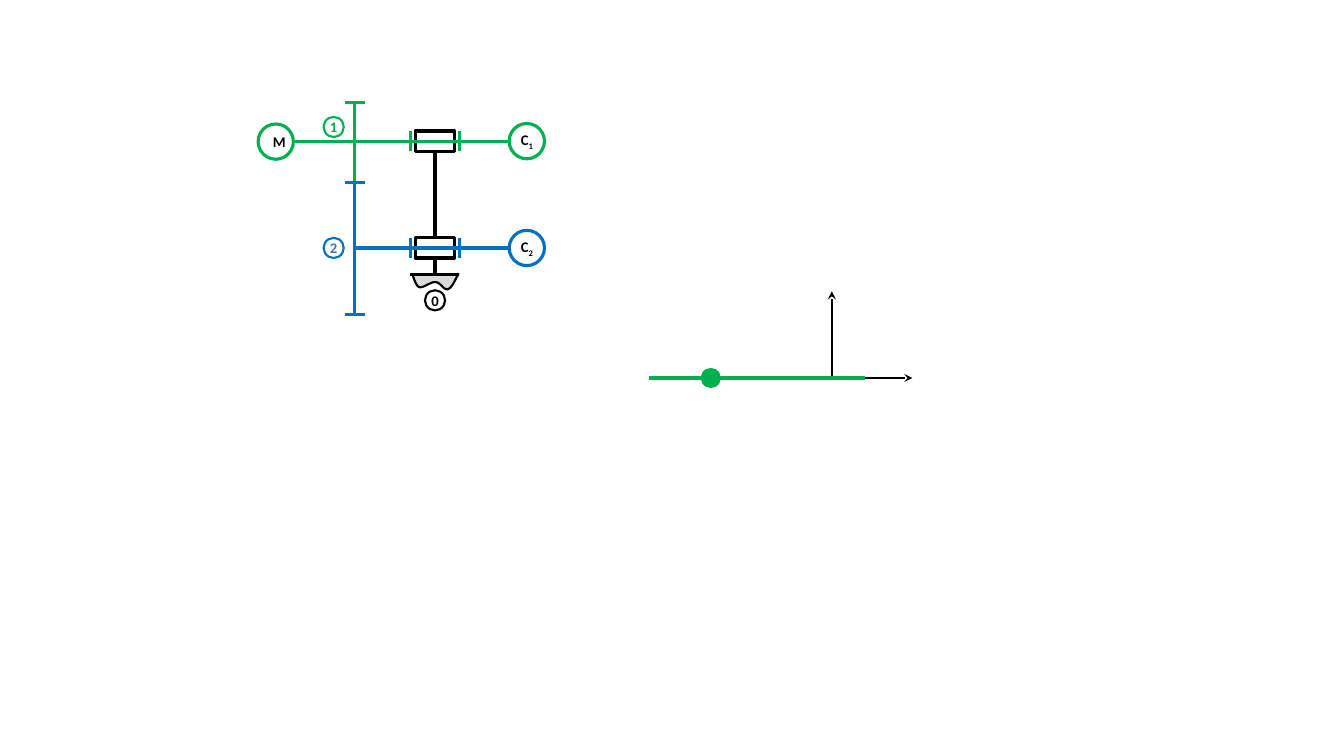
"""Builds a slide with a two-stage gear train and a pair of axes."""
from dataclasses import dataclass

from lxml.etree import SubElement
from pptx import Presentation
from pptx.dml.color import RGBColor
from pptx.enum.shapes import MSO_CONNECTOR, MSO_SHAPE
from pptx.enum.text import MSO_ANCHOR, PP_ALIGN
from pptx.oxml.ns import qn
from pptx.util import Inches, Pt


@dataclass(frozen=True)
class Theme:
    """Colours, type and line widths of the slide."""
    black: str = "000000"
    white: str = "FFFFFF"
    grey: str = "D9D9D9"
    green: str = "00B050"
    blue: str = "0070C0"
    label_blue: str = "4472C4"
    font: str = "Calibri"
    size: float = 10.5
    hairline: float = 1
    thin: float = 1.5
    thick: float = 2.25


@dataclass(frozen=True)
class Stage:
    """One shaft with its wheel, given in grid columns and rows."""
    number: str
    colour: str
    label_colour: str
    axis: float
    wheel_top: float
    wheel_bottom: float
    shaft_left: float
    badge_axis: float


THEME = Theme()
COLUMNS, ROWS = 133.3, 75
WHEEL, BEARING, LOAD, BADGE = 35.2, 43.15, 52.25, 33.1
LOAD_SIZE, BADGE_SIZE, BEARING_WIDTH = 3.5, 2, 3.9
STAGES = (
    Stage("1", THEME.green, THEME.green, 14, 10.2, 18.1, 29.1, 12.6),
    Stage("2", THEME.blue, THEME.label_blue, 24.6, 18.1, 31.2, WHEEL, 24.6),
)
GROUND_START = (40.9, 27.2)
GROUND_CURVES = (
    ((41.1, 27.8), (41.3, 28.4), (41.6, 28.5)),
    ((42, 28.6), (42.8, 27.9), (43.2, 28)),
    ((43.7, 28), (44, 28.8), (44.4, 28.7)),
    ((44.8, 28.6), (45.1, 27.9), (45.5, 27.1)),
)


def grid(cells):
    """Turn grid columns or rows into a length."""
    return Inches(cells / 10)


def colour_of(value):
    """Turn a theme colour into an RGB colour."""
    return RGBColor.from_string(value)


def set_outline(line, colour, width):
    """Set the colour and width of a line."""
    line.color.rgb = colour_of(colour)
    line.width = Pt(width)


def add_line(page, start, end, colour=THEME.black, width=THEME.thick, arrow=False):
    """Draw a straight line between two grid points."""
    line = page.shapes.add_connector(
        MSO_CONNECTOR.STRAIGHT, *(grid(value) for value in (*start, *end)))
    set_outline(line.line, colour, width)
    if arrow:
        SubElement(line.line._get_or_add_ln(), qn("a:tailEnd"), type="stealth")
    SubElement(line._element.spPr, qn("a:effectLst"))
    return line


def add_figure(page, kind, centre, width, height, fill=None, outline=None,
               weight=THEME.thick):
    """Draw a preset shape around a grid point."""
    left, top = centre[0] - width / 2, centre[1] - height / 2
    figure = page.shapes.add_shape(
        kind, *(grid(value) for value in (left, top, width, height)))
    figure.shadow.inherit = False
    if fill:
        figure.fill.solid()
        figure.fill.fore_color.rgb = colour_of(fill)
    else:
        figure.fill.background()
    if outline:
        set_outline(figure.line, outline, weight)
    else:
        figure.line.fill.background()
    return figure


def add_text(box, text, subscript="", colour=THEME.black, inset=0):
    """Write centred bold text with an optional subscript."""
    frame = box.text_frame
    frame.word_wrap = False
    frame.vertical_anchor = MSO_ANCHOR.MIDDLE
    frame.margin_left = grid(inset)
    frame.margin_right = frame.margin_top = frame.margin_bottom = 0
    para = frame.paragraphs[0]
    para.alignment = PP_ALIGN.CENTER
    for part in filter(None, (text, subscript)):
        span = para.add_run()
        span.text = part
        span.font.name, span.font.size = THEME.font, Pt(THEME.size)
        span.font.bold = True
        span.font.color.rgb = colour_of(colour)
        if part is subscript:
            span.font._element.set("baseline", "-25000")


def add_circle(page, centre, size, text, outline, weight=THEME.thick, **text_format):
    """Draw an open circle with a label."""
    circle = add_figure(page, MSO_SHAPE.OVAL, centre, size, size,
                        outline=outline, weight=weight)
    add_text(circle, text, **text_format)


def add_stage(page, stage):
    """Draw bearing, shaft, wheel, load and badge, and return the bearing."""
    bearing = add_figure(page, MSO_SHAPE.RECTANGLE, (BEARING, stage.axis),
                         BEARING_WIDTH, 2, THEME.white, THEME.black)
    for flange in (BEARING - 2.4, BEARING + 2.4):
        add_line(page, (flange, stage.axis - 1), (flange, stage.axis + 1), stage.colour)
    add_line(page, (LOAD - LOAD_SIZE / 2, stage.axis),
             (stage.shaft_left, stage.axis), stage.colour)
    add_line(page, (WHEEL, stage.wheel_bottom), (WHEEL, stage.wheel_top), stage.colour)
    for rim in (stage.wheel_top, stage.wheel_bottom):
        add_line(page, (WHEEL + 1, rim), (WHEEL - 1, rim), stage.colour)
    add_circle(page, (LOAD, stage.axis), LOAD_SIZE, "C", stage.colour,
               subscript=stage.number)
    add_circle(page, (BADGE, stage.badge_axis), BADGE_SIZE, stage.number,
               stage.colour, THEME.thin, colour=stage.label_colour)
    return bearing


def curve_points(start, curves, steps=12):
    """Yield points along a chain of cubic curves."""
    for first, second, end in curves:
        for step in range(1, steps + 1):
            t = step / steps
            yield tuple(
                grid((1 - t) ** 3 * a + 3 * (1 - t) ** 2 * t * b
                     + 3 * (1 - t) * t ** 2 * c + t ** 3 * d)
                for a, b, c, d in zip(start, first, second, end))
        start = end


def add_ground(page):
    """Draw the fixed ground with its badge."""
    builder = page.shapes.build_freeform(*(grid(value) for value in GROUND_START))
    builder.add_line_segments(curve_points(GROUND_START, GROUND_CURVES), close=False)
    ground = builder.convert_to_shape()
    ground.shadow.inherit = False
    ground.fill.solid()
    ground.fill.fore_color.rgb = colour_of(THEME.grey)
    set_outline(ground.line, THEME.black, THEME.thin)
    add_line(page, (45.5, 27.2), (40.7, 27.2))
    add_circle(page, (BEARING, 29.8), BADGE_SIZE, "0", THEME.black, THEME.thin)


def add_axes(page):
    """Draw the pair of axes with the green bar and its dot."""
    origin = (82.5, 37.5)
    for tip in ((82.5, 28.9), (90.5, 37.5)):
        add_line(page, origin, tip, width=THEME.hairline, arrow=True)
    add_line(page, (85.8, 37.5), (64.4, 37.5), THEME.green)
    add_figure(page, MSO_SHAPE.OVAL, (70.5, 37.5), 2, 2, fill=THEME.green)


def main():
    """Build and save the deck."""
    deck = Presentation()
    deck.slide_width, deck.slide_height = grid(COLUMNS), grid(ROWS)
    page = deck.slides.add_slide(deck.slide_layouts[6])
    add_ground(page)
    upper, lower = (add_stage(page, stage) for stage in STAGES)
    post = add_line(page, (BEARING, 15), (BEARING, 23.6))
    post.begin_connect(upper, 2)
    post.end_connect(lower, 0)
    stem = add_line(page, (BEARING, 25.6), (BEARING, 27.1))
    stem.begin_connect(lower, 2)
    add_circle(page, (27.35, 14.05), LOAD_SIZE, "M", THEME.green, inset=0.7)
    add_axes(page)
    deck.save("out.pptx")


if __name__ == "__main__":
    main()
